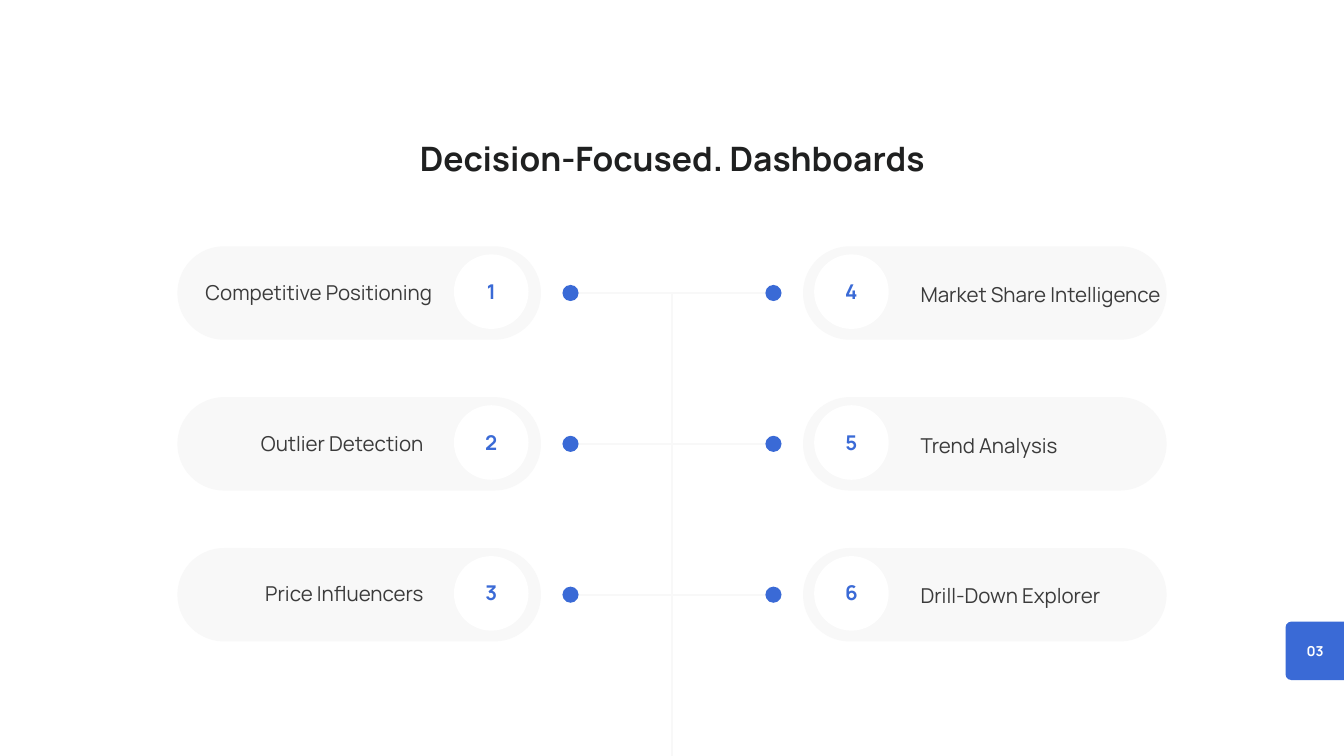
import pptx
import pptx.dml.color
import pptx.enum.shapes
import pptx.enum.text
import pptx.oxml.ns
import pptx.util
from lxml import etree

# The grid has square cells, one inch each
COLUMNS, ROWS = 20, 11.25
CELL = pptx.util.Inches(1)

BLUE, PALE, WHITE = "3A6AD6", "F8F8F8", "FFFFFF"
INK, GREY = "1F2020", "3B3B3B"
FONT = "Manrope"
LINE_SPACING = 1.4

SHAPE = pptx.enum.shapes.MSO_SHAPE
ALIGN = pptx.enum.text.PP_ALIGN

FIRST_ROW, ROW_STEP = 4.36, 2.245
PILL_WIDTH, PILL_HEIGHT, PILL_MARGIN = 5.41, 1.39, 2.64
DISC, DOT = 1.11, 0.24
LABEL_WIDTH = 3.77
DOT_COLUMNS = (8.49, 11.51)

# Label text and the right edge of its box
LEFT_ITEMS = [
    ("Competitive Positioning", 6.43),
    ("Outlier Detection", 6.3),
    ("Price Influencers", 6.3),
]
RIGHT_ITEMS = ["Market Share Intelligence", "Trend Analysis", "Drill-Down Explorer"]


def color(value):
    return pptx.dml.color.RGBColor.from_string(value)


def grid(*lengths):
    return [round(length * CELL) for length in lengths]


def write(frame, text, size=22, fill=GREY, bold=False, align=ALIGN.LEFT):
    frame.margin_left = frame.margin_top = frame.margin_right = frame.margin_bottom = 0
    frame.word_wrap = True
    frame.vertical_anchor = pptx.enum.text.MSO_ANCHOR.TOP
    paragraph = frame.paragraphs[0]
    paragraph.text = text
    paragraph.alignment = align
    paragraph.line_spacing = pptx.util.Pt(round(size * LINE_SPACING, 1))
    font = paragraph.font
    font.name, font.size, font.bold = FONT, pptx.util.Pt(size), bold
    font.color.rgb = color(fill)


class DashboardSlide:
    def __init__(self, presentation):
        layout = presentation.slide_layouts[5]  # title only
        self.slide = presentation.slides.add_slide(layout)
        self.slide.background.fill.solid()
        self.slide.background.fill.fore_color.rgb = color(WHITE)

    def title(self, text, left, top, width, height):
        shape = self.slide.shapes.title
        shape.left, shape.top, shape.width, shape.height = grid(left, top, width, height)
        write(shape.text_frame, text, size=36, fill=INK, bold=True, align=ALIGN.CENTER)

    def text(self, text, left, top, width, height, **style):
        box = self.slide.shapes.add_textbox(*grid(left, top, width, height))
        write(box.text_frame, text, **style)

    def block(self, kind, left, top, width, height, fill, radius=None):
        shape = self.slide.shapes.add_shape(kind, *grid(left, top, width, height))
        shape.shadow.inherit = False
        shape.fill.solid()
        shape.fill.fore_color.rgb = color(fill)
        shape.line.fill.background()
        if radius is not None:
            shape.adjustments[0] = radius

    def circle(self, column, row, diameter, fill):
        self.block(SHAPE.OVAL, column - diameter / 2, row - diameter / 2,
                   diameter, diameter, fill)

    def line(self, start_column, start_row, end_column, end_row):
        connector = self.slide.shapes.add_connector(
            pptx.enum.shapes.MSO_CONNECTOR.STRAIGHT,
            *grid(start_column, start_row, end_column, end_row))
        connector.line.color.rgb = color(PALE)
        connector.line.width = pptx.util.Pt(2.25)
        etree.SubElement(connector._element.spPr, pptx.oxml.ns.qn("a:effectLst"))

    def pill(self, left, row, disc_column, number):
        self.block(SHAPE.ROUNDED_RECTANGLE, left, row - PILL_HEIGHT / 2,
                   PILL_WIDTH, PILL_HEIGHT, PALE, radius=0.5)
        self.circle(disc_column, row - 0.02, DISC, WHITE)
        self.text(str(number), disc_column - 0.4, row - 0.27, 0.8, 0.44,
                  size=21.8, fill=BLUE, bold=True, align=ALIGN.CENTER)


def main():
    presentation = pptx.Presentation()
    presentation.slide_width, presentation.slide_height = grid(COLUMNS, ROWS)
    page = DashboardSlide(presentation)
    page.title("Decision-Focused. Dashboards", 5.85, 1.95, 8.31, 0.71)

    # Page number tab, running over the right edge
    page.block(SHAPE.ROUNDED_RECTANGLE, 19.13, 9.25, 1.04, 0.87, BLUE, radius=0.1)
    page.text("03", 19.33, 9.53, 0.48, 0.28,
              size=14.7, fill=WHITE, bold=True, align=ALIGN.CENTER)

    # Numbered pills on both sides, joined by dotted ends
    pairs = zip(LEFT_ITEMS, RIGHT_ITEMS)
    for index, ((left_label, label_edge), right_label) in enumerate(pairs):
        row = FIRST_ROW + index * ROW_STEP
        page.pill(PILL_MARGIN, row, 7.31, index + 1)
        page.text(left_label, label_edge - LABEL_WIDTH, row - 0.26, LABEL_WIDTH, 0.43,
                  align=ALIGN.RIGHT)
        page.pill(COLUMNS - PILL_MARGIN - PILL_WIDTH, row, 12.67,
                  index + 1 + len(LEFT_ITEMS))
        page.text(right_label, 13.7, row - 0.23, LABEL_WIDTH, 0.43)
        page.line(DOT_COLUMNS[0], row, DOT_COLUMNS[1], row)
        for column in DOT_COLUMNS:
            page.circle(column, row, DOT, BLUE)

    # Central stem down to the slide's bottom edge
    page.line(COLUMNS / 2, FIRST_ROW + 0.02, COLUMNS / 2, ROWS)

    presentation.save("out.pptx")


if __name__ == "__main__":
    main()
